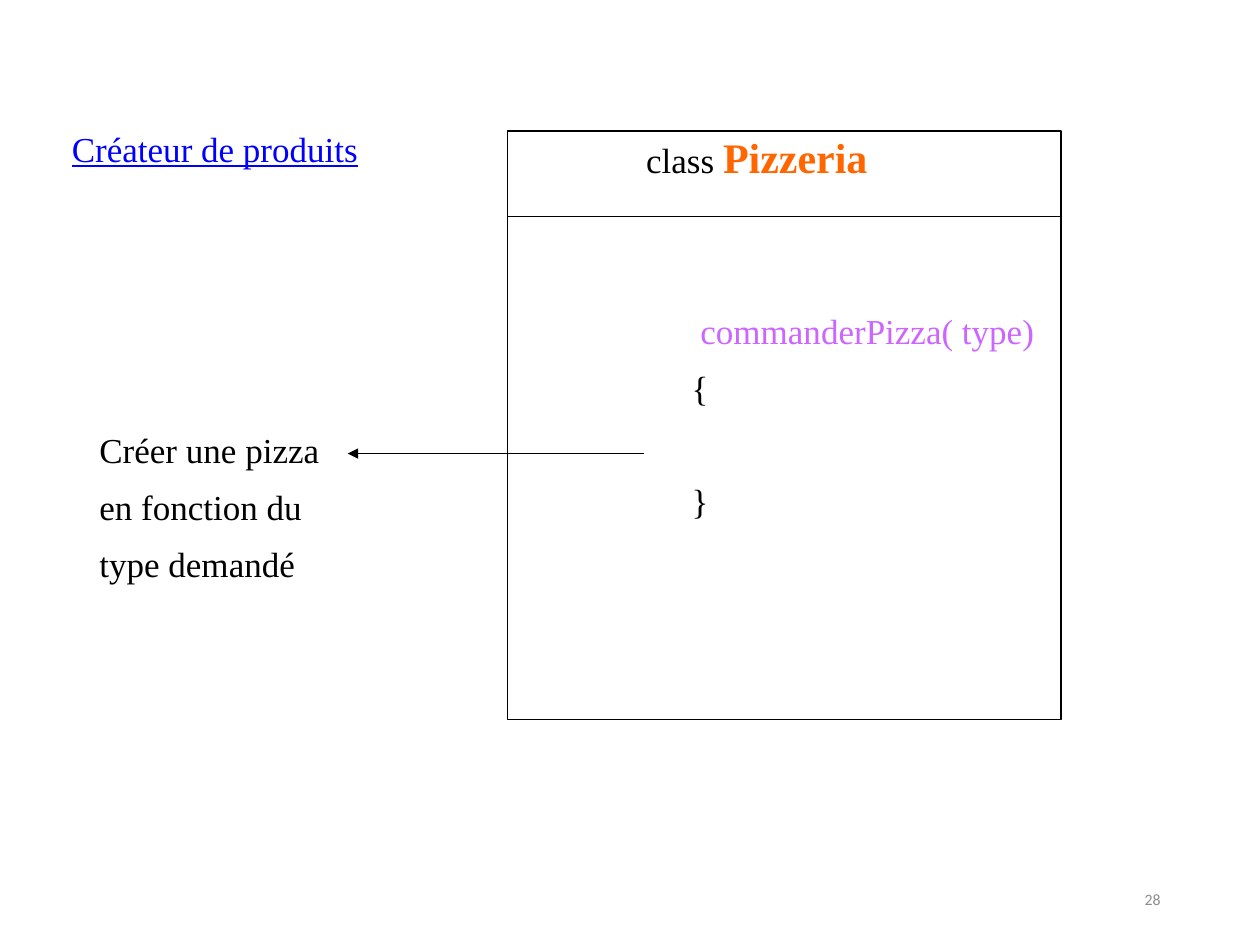
from lxml import etree
from pptx import Presentation
from pptx.dml.color import RGBColor
from pptx.enum.shapes import MSO_CONNECTOR, MSO_SHAPE
from pptx.enum.text import MSO_ANCHOR, MSO_AUTO_SIZE, PP_ALIGN
from pptx.oxml.ns import qn
from pptx.util import Inches, Pt

RECTANGLE = MSO_SHAPE.RECTANGLE
STRAIGHT = MSO_CONNECTOR.STRAIGHT
TOP, MIDDLE = MSO_ANCHOR.TOP, MSO_ANCHOR.MIDDLE
LEFT, RIGHT = PP_ALIGN.LEFT, PP_ALIGN.RIGHT
NO_FIT = MSO_AUTO_SIZE.NONE

COLORS = {
    "black": "000000",
    "title": "0000FF",
    "class": "FF6600",
    "method": "CC66FF",
    "number": "8C8C8C",
}


class SlideBuilder:
    font = "Times New Roman"
    size = 20
    spacing = 0.9
    gap = 11
    line_width = 0.75

    def __init__(self, page):
        self.page = page

    def style(self, span, color="black", size=None, font=None, bold=False, underline=False):
        span.font.name = font or self.font
        span.font.size = Pt(size or self.size)
        span.font.color.rgb = RGBColor.from_string(COLORS[color])
        span.font.bold = bold
        span.font.underline = underline

    def frame(self, box, anchor=TOP):
        frame = box.text_frame
        frame.word_wrap = True
        frame.auto_size = NO_FIT
        frame.vertical_anchor = anchor
        return frame

    def paragraph(self, para, spans, before=0, indent=0, align=LEFT):
        para.alignment = align
        para.line_spacing = self.spacing
        para.space_before = Pt(before)
        para._p.get_or_add_pPr().set("marL", str(Inches(indent)))
        for text, look in spans:
            span = para.add_run()
            span.text = text
            self.style(span, **look)

    def title(self, text, left, top, width, height):
        box = self.page.shapes.title
        box.left, box.top = Inches(left), Inches(top)
        box.width, box.height = Inches(width), Inches(height)
        para = self.frame(box).paragraphs[0]
        self.paragraph(para, [(text, {"color": "title", "underline": True})])

    def text(self, lines, left, top, width, height, anchor=TOP, align=LEFT, **look):
        box = self.page.shapes.add_textbox(
            Inches(left), Inches(top), Inches(width), Inches(height))
        frame = self.frame(box, anchor)
        frame.text = "\n".join(lines)
        for index, para in enumerate(frame.paragraphs):
            self.paragraph(para, [], self.gap if index else 0, align=align)
            self.style(para.runs[0], **look)

    def line(self, start, end, arrow=False, parent=None):
        shapes = (parent or self.page).shapes
        line = shapes.add_connector(STRAIGHT, *map(Inches, start + end))
        line.line.color.rgb = RGBColor.from_string(COLORS["black"])
        line.line.width = Pt(self.line_width)
        if arrow:
            etree.SubElement(line.line._get_or_add_ln(), qn("a:tailEnd"), type="triangle")
        etree.SubElement(line._element.spPr, qn("a:effectLst"))

    def class_box(self, left, top, width, height, divider, rows):
        group = self.page.shapes.add_group_shape()
        box = group.shapes.add_shape(
            RECTANGLE, Inches(left), Inches(top), Inches(width), Inches(height))
        box.shadow.inherit = False
        box.fill.background()
        box.line.color.rgb = RGBColor.from_string(COLORS["black"])
        box.line.width = Pt(self.line_width)
        frame = self.frame(box)
        for index, (spans, before, indent) in enumerate(rows):
            para = frame.add_paragraph() if index else frame.paragraphs[0]
            self.paragraph(para, spans, before, indent)
        self.line((left, divider), (left + width, divider), parent=group)


def main():
    deck = Presentation()
    deck.slide_width, deck.slide_height = Inches(10), Inches(7.5)
    page = deck.slides.add_slide(deck.slide_layouts[5])
    builder = SlideBuilder(page)

    builder.title("Créateur de produits", 0.47, 1, 2.96, 0.4)
    builder.class_box(4.03, 1.04, 4.39, 4.67, 1.72, [
        ([("class ", {}), ("Pizzeria", {"color": "class", "size": 24, "bold": True})], 0, 1),
        ([("commanderPizza( type)", {"color": "method"})], 75, 1.43),
        ([("{", {})], builder.gap, 1.36),
        ([("}", {})], 43, 1.36),
    ])
    builder.line((5.11, 3.6), (2.76, 3.6), arrow=True)
    builder.text(["Créer une pizza", "en fonction du", "type demandé"], 0.69, 3.39, 2.35, 1.34)
    builder.text(["28"], 7.06, 6.95, 2.25, 0.4, MIDDLE, RIGHT,
                 color="number", size=9, font="Calibri")

    deck.save("out.pptx")


if __name__ == "__main__":
    main()
